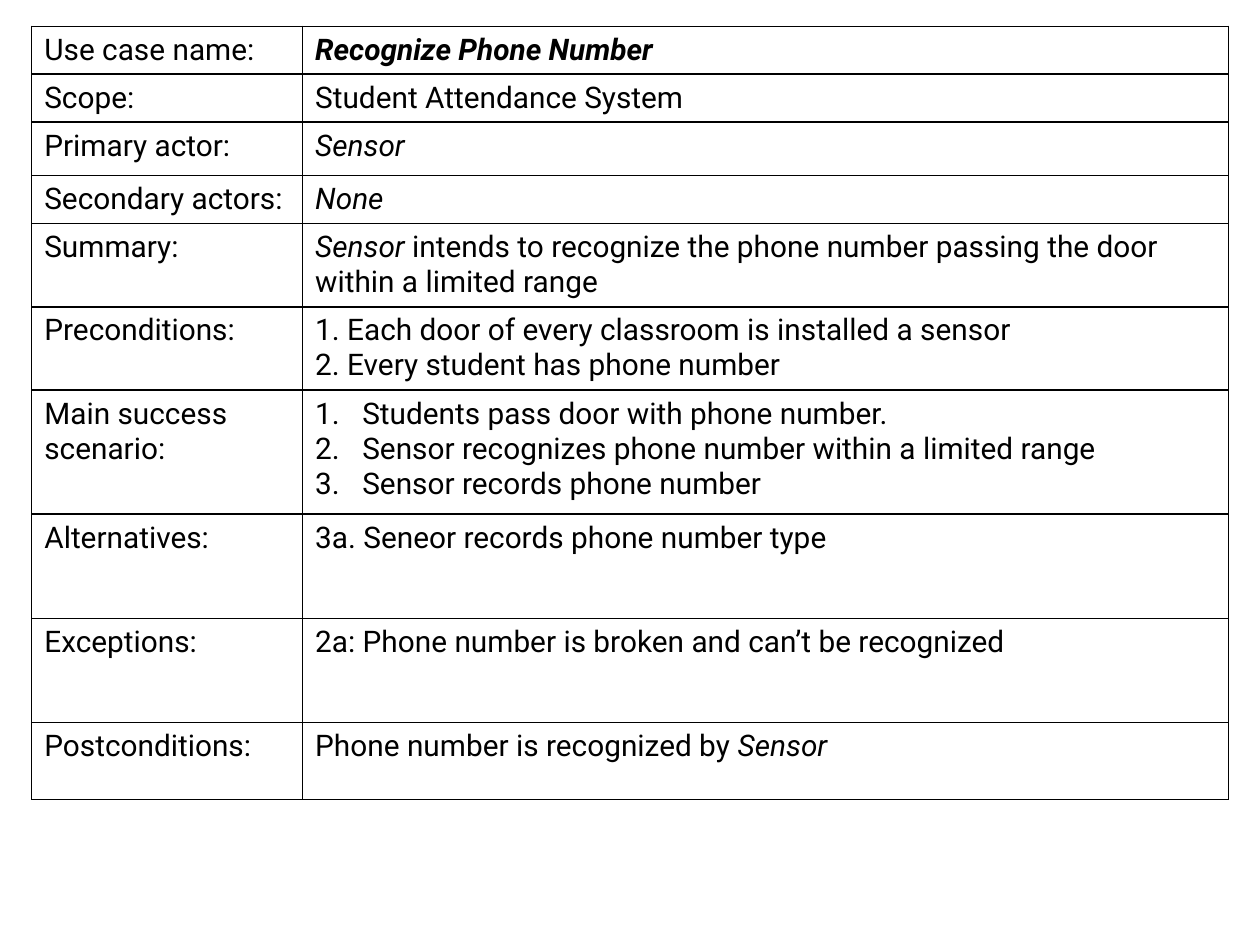
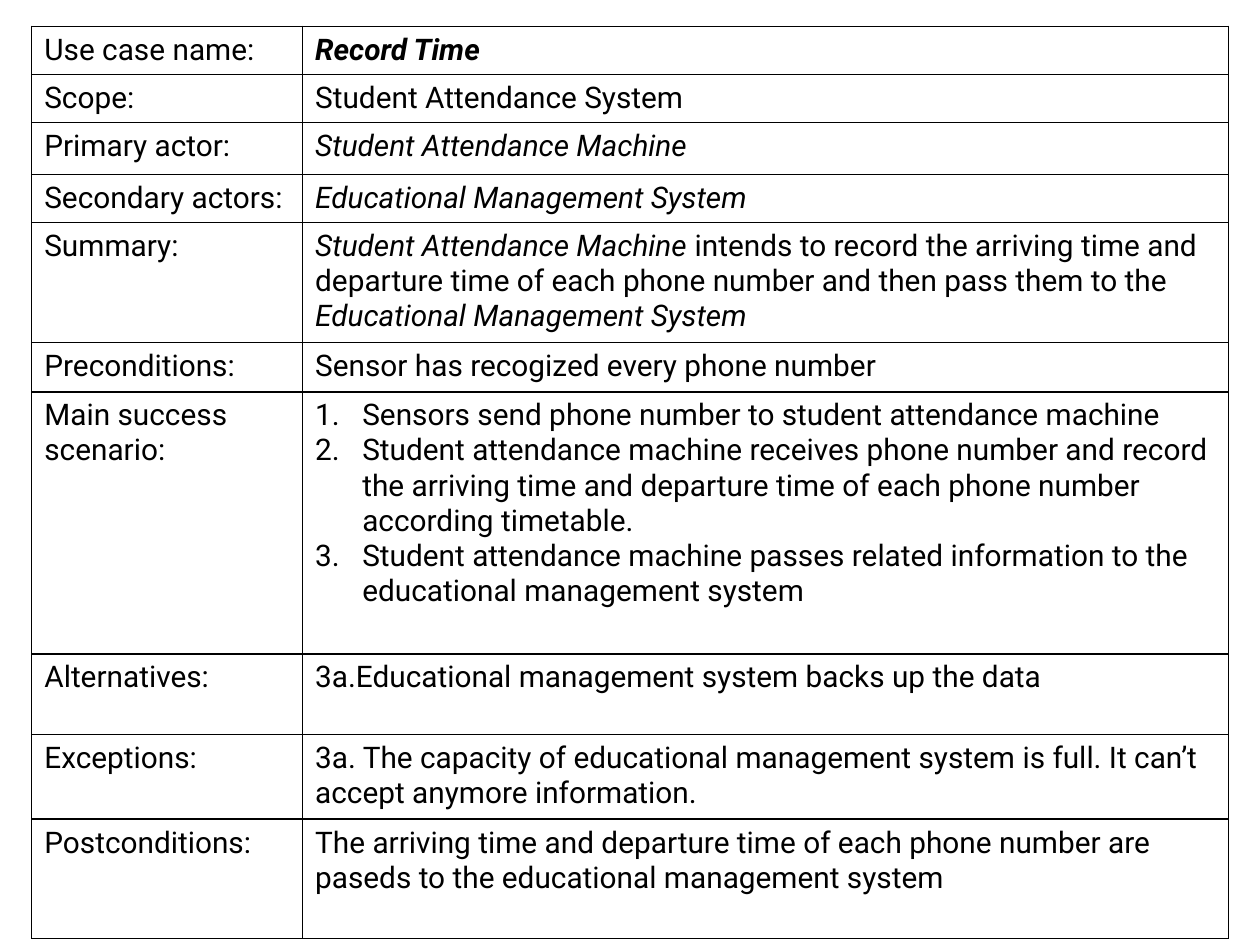
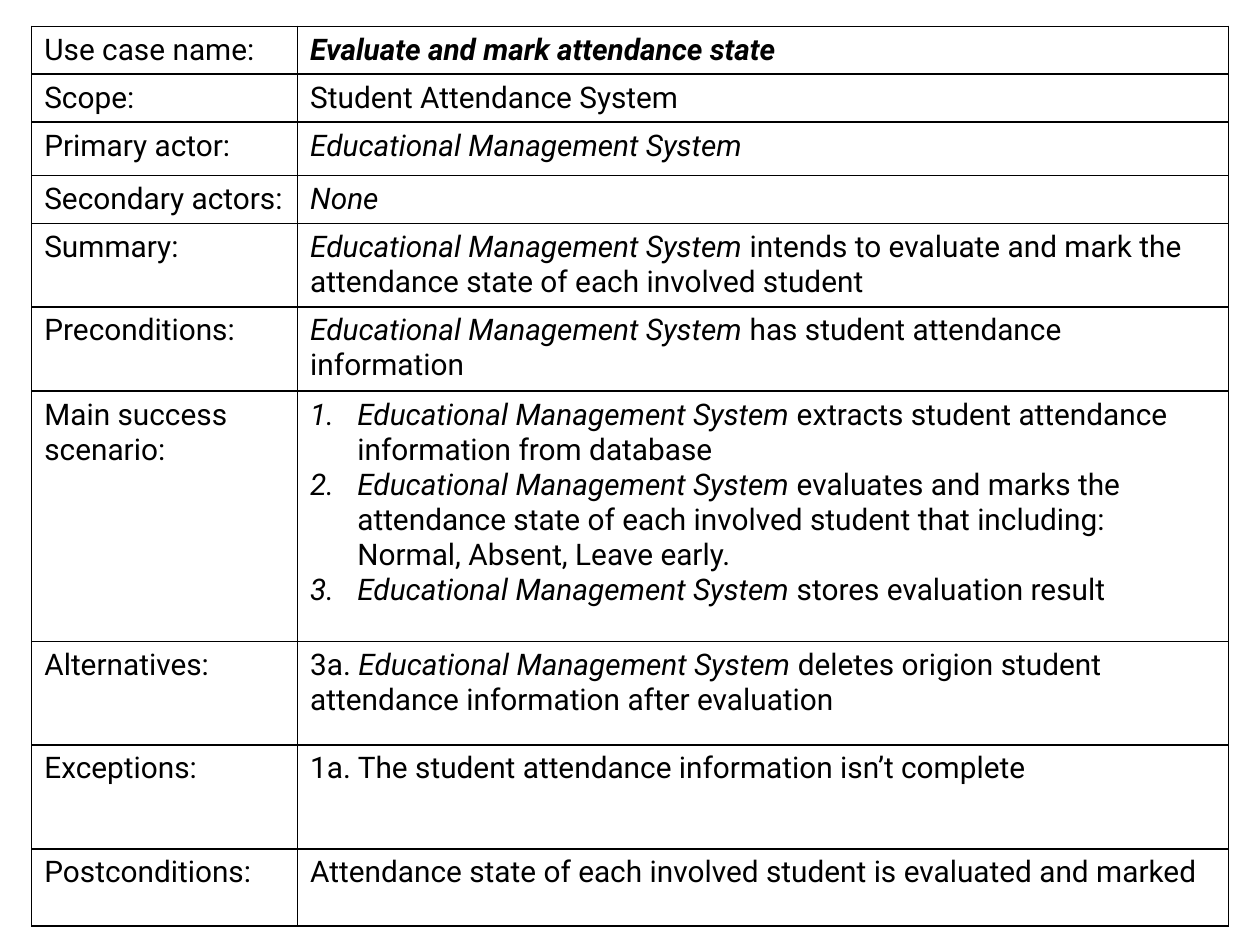
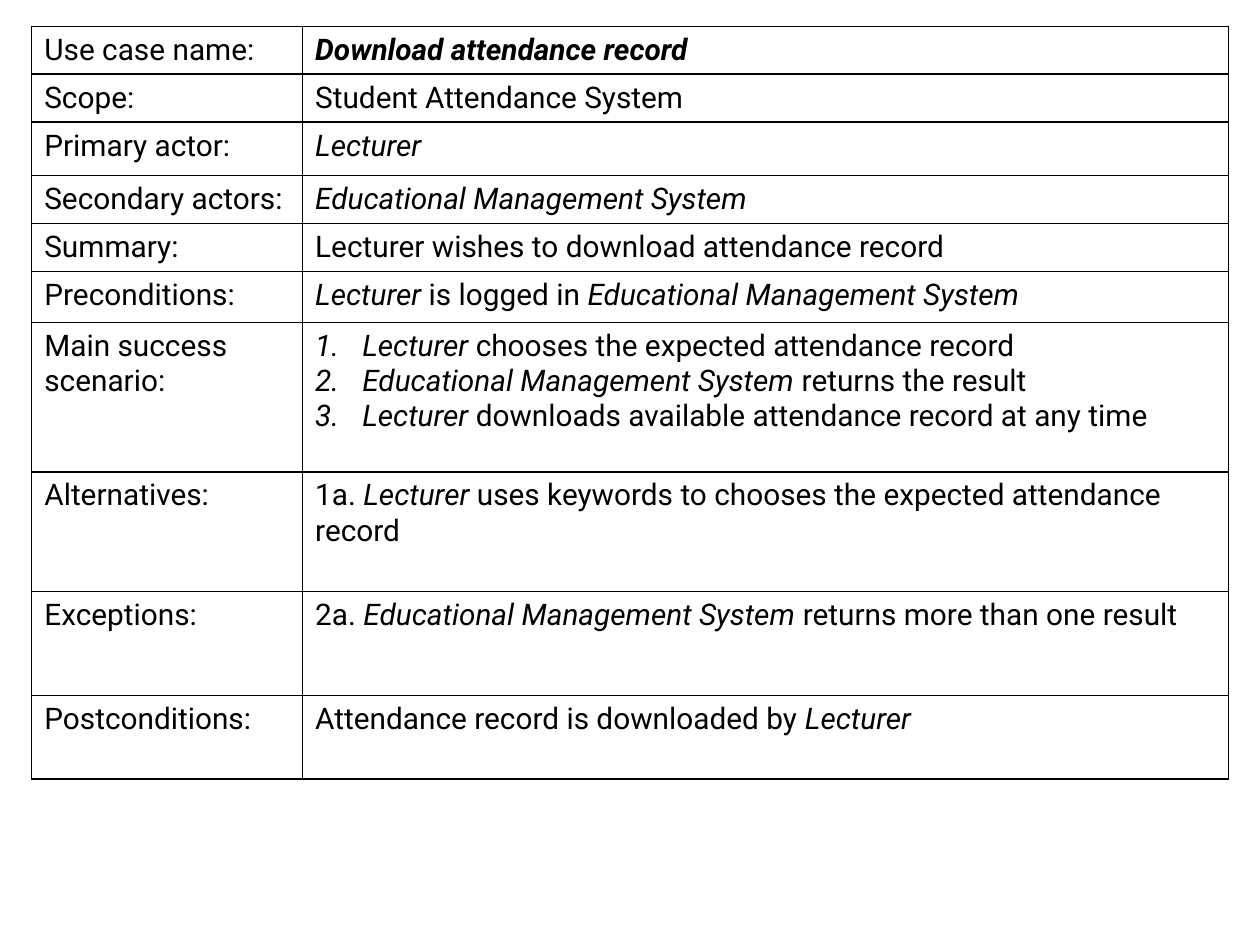
"""Build four use case tables for a student attendance system."""
import pptx
import pptx.dml.color
import pptx.oxml
import pptx.oxml.ns
import pptx.util
from pptx.util import Cm

BLACK = pptx.dml.color.RGBColor(0, 0, 0)
LABELS = ["Use case name:", "Scope:", "Primary actor:", "Secondary actors:",
          "Summary:", "Preconditions:", "Main success scenario:",
          "Alternatives:", "Exceptions:", "Postconditions:"]
NAME, STEPS = 0, 6
SCOPE = "Student Attendance System"
EMS = "*Educational Management System*"
EMS_GAP = "*Educational Management System *"

CASES = [
    dict(split=5.46,
         rows=[0.94, 0.97, 1.08, 0.95, 1.68, 1.68, 2.5, 2.1, 2.1, 1.55],
         texts=["*Recognize Phone Number*", SCOPE, "*Sensor*", "*None*",
                "*Sensor *intends to recognize the phone number passing the "
                "door within a limited range",
                "1. Each door of every classroom is installed a sensor\n"
                "2. Every student has phone number",
                "Students pass door with phone number.\n"
                "Sensor recognizes phone number within a limited range\n"
                "Sensor records phone number",
                "3a. Seneor records phone number type",
                "2a: Phone number is broken and can’t be recognized",
                "Phone number is recognized by *Sensor*"]),
    dict(split=5.46,
         rows=[0.97, 0.97, 1.05, 0.97, 2.41, 1, 5.28, 1.63, 1.7, 2.41],
         texts=["*Record Time*", SCOPE, "*Student Attendance Machine*", EMS,
                "*Student Attendance Machine *intends to record the arriving "
                "time and departure time of each phone number and then pass "
                "them to the " + EMS,
                "Sensor has recogized every phone number",
                "Sensors send phone number to student attendance machine\n"
                "Student attendance machine receives phone number and record "
                "the arriving time and departure time of each phone number "
                "according timetable.\n"
                "Student attendance machine passes related information to "
                "the educational management system",
                "3a.Educational management system backs up the data",
                "3a. The capacity of educational management system is full. "
                "It can’t accept anymore information.",
                "The arriving time and departure time of each phone number "
                "are paseds to the educational management system"]),
    dict(split=5.36,
         rows=[0.94, 0.97, 1.08, 0.95, 1.68, 1.7, 5.05, 2.08, 2.1, 1.55],
         texts=["*Evaluate and mark attendance state*", SCOPE, EMS, "*None*",
                EMS + " intends to evaluate and mark the attendance state "
                "of each involved student ",
                EMS_GAP + "has student attendance information",
                EMS_GAP + "extracts student attendance information from "
                "database\n" +
                EMS_GAP + "evaluates and marks the attendance state of each "
                "involved student that including: Normal, Absent, "
                "Leave early.\n" +
                EMS_GAP + "stores evaluation result",
                "3a. " + EMS_GAP + "deletes origion student attendance "
                "information after evaluation",
                "1a. The student attendance information isn’t complete",
                "Attendance state of each involved student is evaluated "
                "and marked"]),
    dict(split=5.46,
         rows=[0.94, 0.97, 1.08, 0.95, 0.97, 1.03, 3.01, 2.41, 2.1, 1.68],
         texts=["*Download attendance record *", SCOPE, "*Lecturer*", EMS,
                "Lecturer wishes to download attendance record",
                "*Lecturer *is logged in " + EMS,
                "*Lecturer *chooses the expected attendance record \n" +
                EMS_GAP + "returns the result\n"
                "*Lecturer *downloads available attendance record at "
                "any time",
                "1a. *Lecturer *uses keywords to chooses the expected "
                "attendance record",
                "2a. " + EMS_GAP + "returns more than one result",
                "Attendance record is downloaded by *Lecturer*"]),
]


class Deck:
    """Hold the style, the deck and the current slide."""

    FONT = dict(name="Roboto", size=pptx.util.Pt(17))
    PLAIN = dict(first_row=False, horz_banding=False)
    WIDTH = 24.13
    LEFT, TOP = 0.64, 0.53
    INDENT = Cm(0.95)
    EDGE = pptx.util.Pt(1)

    def __init__(self):
        """Start a blank deck of the right size."""
        self.show = pptx.Presentation()
        self.show.slide_width, self.show.slide_height = Cm(25.4), Cm(19.05)

    def page(self):
        """Add a blank slide and make it current."""
        self.slide = self.show.slides.add_slide(self.show.slide_layouts[6])

    def style(self, item, form):
        """Set each format value on the item."""
        for key, value in form.items():
            setattr(item, key, value)

    def border(self, cell):
        """Draw the four edges of a cell."""
        props = cell._tc.get_or_add_tcPr()
        space = pptx.oxml.ns.nsdecls("a")
        for place, side in enumerate(("lnL", "lnR", "lnT", "lnB")):
            props.insert(place, pptx.oxml.parse_xml(
                f'<a:{side} {space} w="{self.EDGE}"><a:solidFill>'
                f'<a:srgbClr val="{BLACK}"/></a:solidFill></a:{side}>'))

    def number(self, para):
        """Give a paragraph an automatic number and a hanging indent."""
        props = para._p.get_or_add_pPr()
        props.set("marL", str(self.INDENT))
        props.set("indent", str(-self.INDENT))
        props.append(pptx.oxml.parse_xml(
            f'<a:buAutoNum {pptx.oxml.ns.nsdecls("a")} type="arabicPeriod"/>'))

    def fill(self, cell, text, bold=False, steps=False):
        """Fill a cell, with text between stars in italics."""
        cell.fill.background()
        self.border(cell)
        frame = cell.text_frame
        for count, line in enumerate(text.split("\n")):
            para = frame.add_paragraph() if count else frame.paragraphs[0]
            if steps:
                self.number(para)
            for turn, part in enumerate(line.split("*")):
                if part:
                    run = para.add_run()
                    run.text = part
                    self.style(run.font, dict(self.FONT, bold=bold,
                                              italic=turn % 2 == 1))
                    run.font.color.rgb = BLACK

    def table(self, split, rows, texts):
        """Add a use case table with labels on the left."""
        grid = self.slide.shapes.add_table(
            len(rows), 2, Cm(self.LEFT), Cm(self.TOP),
            Cm(self.WIDTH), Cm(sum(rows))).table
        self.style(grid, self.PLAIN)
        for col, width in zip(grid.columns, (split, self.WIDTH - split)):
            col.width = Cm(width)
        for row, (high, label, text) in enumerate(zip(rows, LABELS, texts)):
            grid.rows[row].height = Cm(high)
            self.fill(grid.cell(row, 0), label)
            self.fill(grid.cell(row, 1), text, row == NAME, row == STEPS)


deck = Deck()
for case in CASES:
    deck.page()
    deck.table(**case)
deck.show.save("out.pptx")
